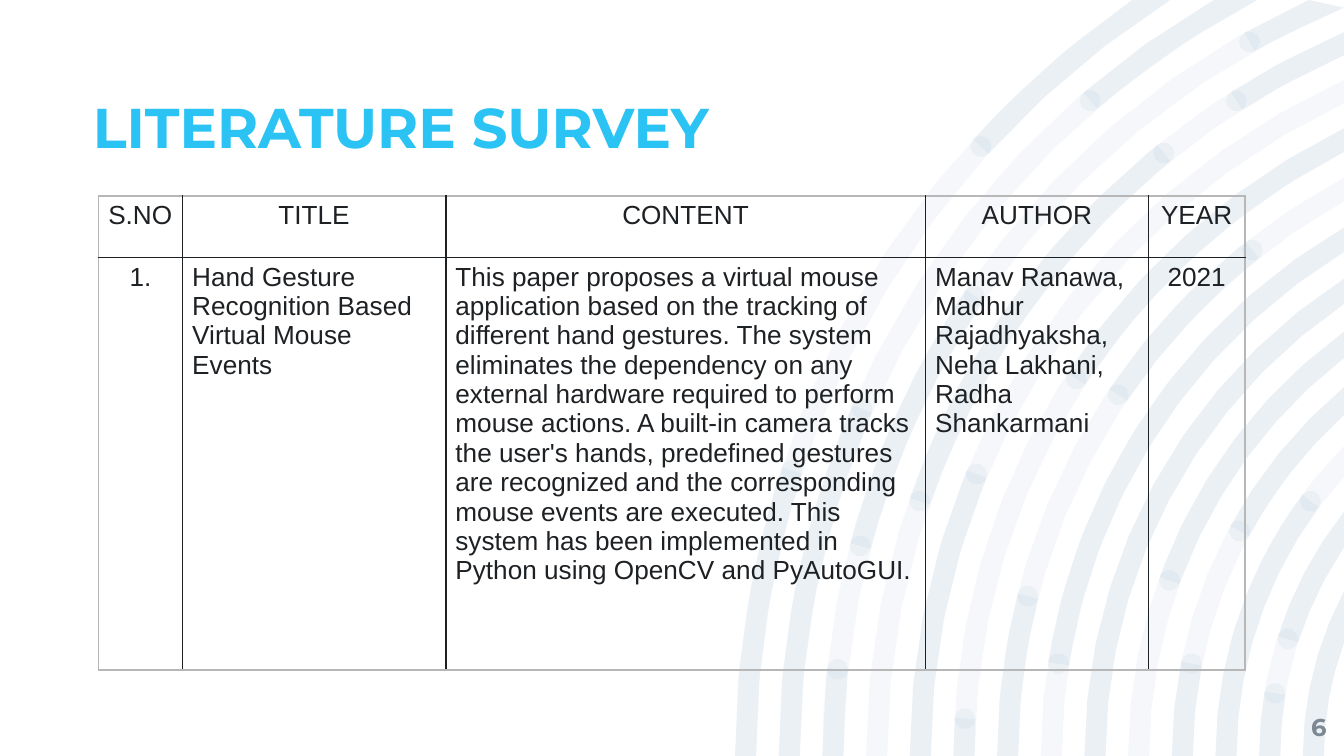
from math import acos, asin, ceil, cos, pi, sin

from lxml.etree import SubElement
from pptx import Presentation
from pptx.dml.color import RGBColor
from pptx.enum.text import MSO_ANCHOR, PP_ALIGN
from pptx.oxml.ns import qn
from pptx.util import Pt

WIDTH, HEIGHT = 720, 405
INK, FRAME, SKY, SLATE, NAVY = "1E2124", "B7B7B7", "2AC3F3", "7C8894", "004591"

# Rings share a centre to the right of the slide, level with its bottom edge.
CENTER_X, CENTER_Y = 885.6, HEIGHT
OUTER_RADIUS, RING_PITCH, RING_WIDTH, RING_COUNT = 491.8, 23.4, 11.3, 14

# Ring number, height of the lower dot, height of the upper dot (None: slide edge)
HIGHLIGHTS = [
    (0, None, 252), (0, 78.5, None), (1, None, 219), (1, 54, None),
    (2, None, 358.5), (2, 292.5, 158.5), (2, 22.5, None),
    (3, 268.5, 82), (3, 54, None), (4, None, 254), (5, None, 385),
    (5, 203, None), (6, None, 319.5), (6, 211.5, 134), (7, 355.5, None),
    (8, None, None), (9, 311, None), (10, None, 355.5), (10, 284.5, None),
    (11, None, 268.5), (12, None, 371.5), (12, 342.5, None), (13, None, None),
]

HEADERS = ["S.NO", "TITLE", "CONTENT", "AUTHOR", "YEAR"]
ENTRY = [
    "1.",
    "Hand Gesture Recognition Based Virtual Mouse Events",
    "This paper proposes a virtual mouse application based on the tracking of "
    "different hand gestures. The system eliminates the dependency on any external "
    "hardware required to perform mouse actions. A built-in camera tracks the user's "
    "hands, predefined gestures are recognized and the corresponding mouse events are "
    "executed. This system has been implemented in Python using OpenCV and PyAutoGUI.",
    "Manav Ranawa,\nMadhur Rajadhyaksha,\nNeha Lakhani, Radha Shankarmani",
    "2021",
]
COLUMN_WIDTHS = [45, 141, 257, 119.5, 51.7]
ROW_HEIGHTS = [33, 221]
LEFT_ALIGNED = {(0, 0), (1, 1), (1, 2), (1, 3)}


def color(value):
    return RGBColor.from_string(value)


def set_all(target, values):
    for name, value in values.items():
        setattr(target, name, value)


def style_font(font, hex_color, **values):
    set_all(font, values)
    font.color.rgb = color(hex_color)


def style_frame(frame, anchor):
    set_all(frame, {
        "word_wrap": True, "vertical_anchor": anchor, "margin_left": 0,
        "margin_top": 0, "margin_right": 0, "margin_bottom": 0,
    })


def tint(shape):
    """Fill with a faint navy, without outline or shadow."""
    shape.shadow.inherit = False
    shape.line.fill.background()
    shape.fill.solid()
    shape.fill.fore_color.rgb = color(NAVY)
    fill_color = shape._element.spPr.find(f"{qn('a:solidFill')}/{qn('a:srgbClr')}")
    SubElement(fill_color, qn("a:alpha"), val="4000")


def polar(radius, angle):
    """Point at an angle measured upwards from the left of the ring centre."""
    return CENTER_X - radius * cos(angle), CENTER_Y - radius * sin(angle)


def edge_angle(radius):
    return min(acos((CENTER_X - WIDTH) / radius), asin(min(1, HEIGHT / radius)))


def middle_radius(ring):
    return OUTER_RADIUS - ring * RING_PITCH - RING_WIDTH / 2


def dot_angle(ring, height):
    return asin((CENTER_Y - height) / middle_radius(ring))


def arc_points(radius, start, end):
    steps = ceil(abs(end - start) / 0.1)
    return [polar(radius, start + (end - start) * i / steps) for i in range(steps + 1)]


def ring_outline(ring, low=None, high=None):
    outer = middle_radius(ring) + RING_WIDTH / 2
    inner = outer - RING_WIDTH
    start = 0 if low is None else dot_angle(ring, low)
    outer_end, inner_end = (
        edge_angle(radius) if high is None else dot_angle(ring, high)
        for radius in (outer, inner))
    return arc_points(outer, start, outer_end) + arc_points(inner, inner_end, start)


def dot_outline(ring, height, corners=10):
    x, y = polar(middle_radius(ring), dot_angle(ring, height))
    angles = [2 * pi * i / corners for i in range(corners)]
    return [(x + RING_WIDTH / 2 * cos(a), y + RING_WIDTH / 2 * sin(a)) for a in angles]


def add_pattern(slide, outlines):
    """Draw all outlines as one tinted freeform."""
    builder = None
    for outline in outlines:
        points = [(Pt(x), Pt(y)) for x, y in outline]
        if builder is None:
            builder = slide.shapes.build_freeform(*points[0])
        else:
            builder.move_to(*points[0])
        builder.add_line_segments(points[1:], close=True)
    tint(builder.convert_to_shape())


def add_title(slide, text):
    title = slide.shapes.title
    set_all(title, {"left": Pt(49.7), "top": Pt(40.3), "width": Pt(620.6), "height": Pt(46)})
    style_frame(title.text_frame, MSO_ANCHOR.BOTTOM)
    paragraph = title.text_frame.paragraphs[0]
    set_all(paragraph, {"text": text, "alignment": PP_ALIGN.LEFT, "line_spacing": 0.9})
    style_font(paragraph.font, SKY, name="Montserrat", size=Pt(30), bold=True)


def add_page_number(slide, text):
    box = slide.shapes.add_textbox(Pt(667.5), Pt(373.7), Pt(43.2), Pt(31))
    style_frame(box.text_frame, MSO_ANCHOR.MIDDLE)
    paragraph = box.text_frame.paragraphs[0]
    set_all(paragraph, {"text": text, "alignment": PP_ALIGN.RIGHT})
    style_font(paragraph.font, SLATE, name="Montserrat", size=Pt(13), bold=True)


def set_borders(cell, outside):
    """Draw the four sides, in the lighter frame colour where a side is outside."""
    properties = cell._tc.get_or_add_tcPr()
    for side, is_outside in outside.items():
        line = SubElement(properties, qn(f"a:ln{side}"), w=str(Pt(1)))
        fill = SubElement(line, qn("a:solidFill"))
        SubElement(fill, qn("a:srgbClr"), val=FRAME if is_outside else INK)


def add_survey_table(slide, rows):
    table = slide.shapes.add_table(
        len(rows), len(HEADERS), Pt(52.8), Pt(105), Pt(sum(COLUMN_WIDTHS)),
        Pt(sum(ROW_HEIGHTS))).table
    set_all(table, {"first_row": False, "horz_banding": False})
    for column, width in zip(table.columns, COLUMN_WIDTHS):
        column.width = Pt(width)
    for r, texts in enumerate(rows):
        table.rows[r].height = Pt(ROW_HEIGHTS[r])
        for c, text in enumerate(texts):
            cell = table.cell(r, c)
            set_all(cell, {
                "text": text, "margin_left": Pt(5.2), "margin_right": Pt(5.2),
                "margin_top": Pt(2.6), "margin_bottom": Pt(2.6),
            })
            set_borders(cell, {"L": c == 0, "R": c == len(texts) - 1,
                               "T": r == 0, "B": r == len(rows) - 1})
            cell.fill.background()
            for paragraph in cell.text_frame.paragraphs:
                is_left = (r, c) in LEFT_ALIGNED
                paragraph.alignment = PP_ALIGN.LEFT if is_left else PP_ALIGN.CENTER
                style_font(paragraph.font, INK, name="Arial", size=Pt(14))


def main():
    presentation = Presentation()
    set_all(presentation, {"slide_width": Pt(WIDTH), "slide_height": Pt(HEIGHT)})
    slide = presentation.slides.add_slide(presentation.slide_layouts[5])
    add_pattern(slide, [ring_outline(ring) for ring in range(RING_COUNT)])
    add_pattern(slide, [ring_outline(*highlight) for highlight in HIGHLIGHTS])
    add_pattern(slide, [dot_outline(ring, height) for ring, *heights in HIGHLIGHTS
                        for height in heights if height is not None])
    add_page_number(slide, "6")
    add_title(slide, "LITERATURE SURVEY")
    add_survey_table(slide, [HEADERS, ENTRY])
    presentation.save("out.pptx")


if __name__ == "__main__":
    main()
